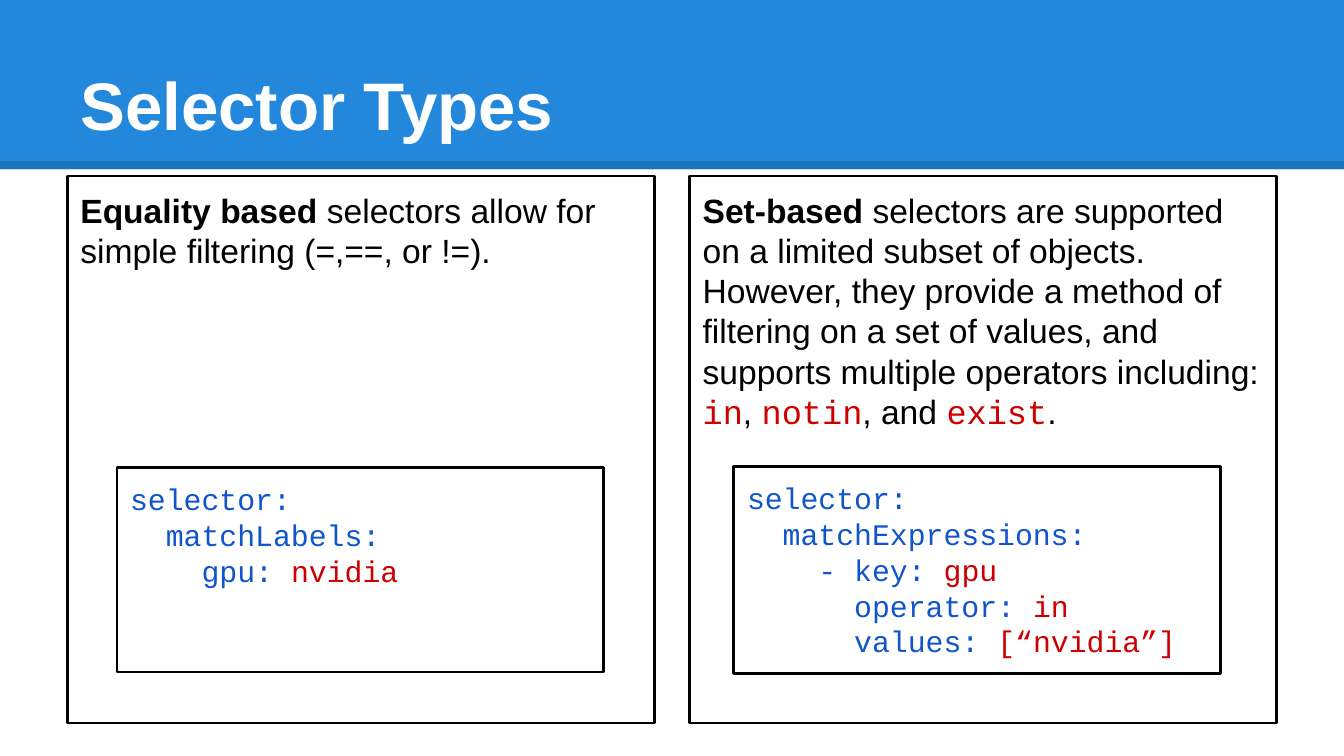
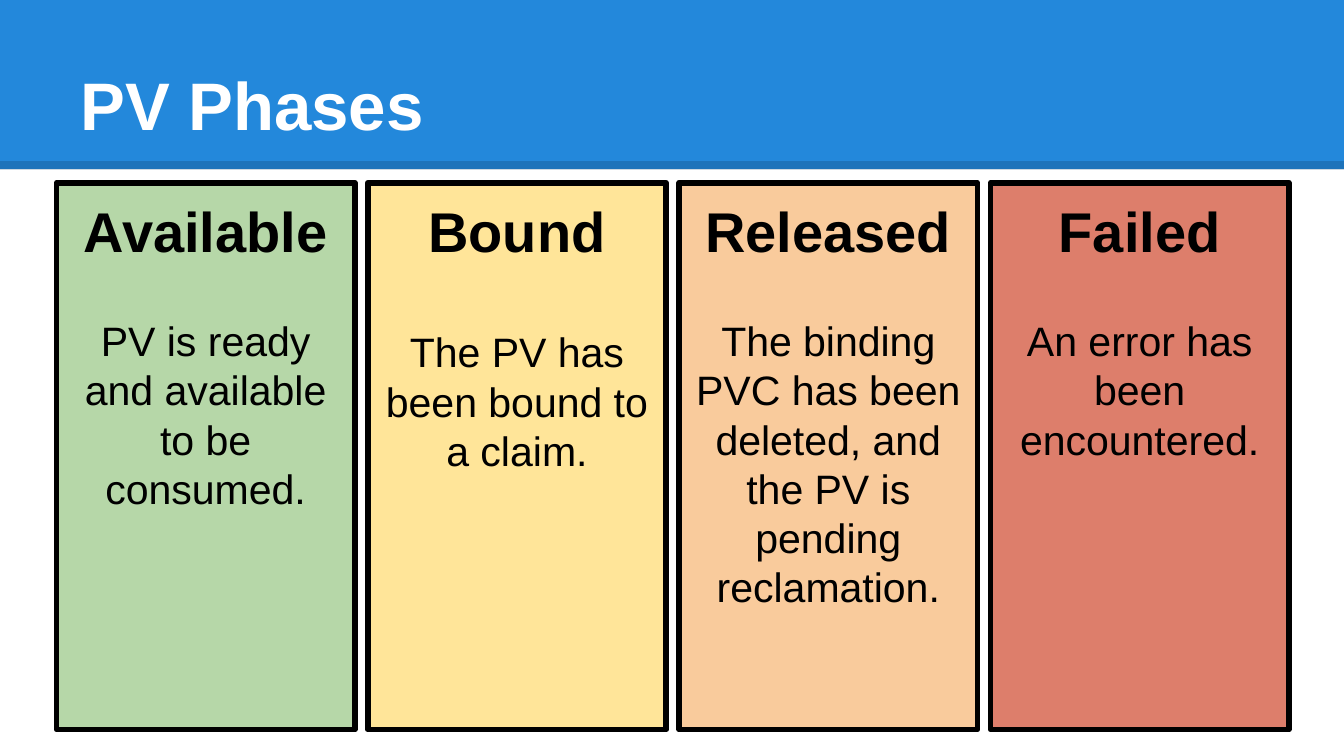
from lxml.etree import SubElement as Sub
from pptx import Presentation
from pptx.dml.color import RGBColor as RGB
from pptx.enum.shapes import MSO_CONNECTOR as CONN, MSO_SHAPE as SHAPE
from pptx.enum.text import MSO_ANCHOR as ANCHOR, PP_ALIGN as ALIGN
from pptx.oxml.ns import qn
from pptx.util import Inches, Pt

WIDE = 10
HIGH = WIDE * 9 / 16
SANS, MONO = "Arial", "Courier New"
BLACK, WHITE, BAND = "000000", "FFFFFF", "2388DB"
RED, BLUE = "CC0000", "1155CC"

STYLES = {
    "title": (SANS, 36, WHITE, True),
    "bold": (SANS, 18, BLACK, True),
    "text": (SANS, 18, BLACK, False),
    "term": (MONO, 18, RED, False),
    "key": (MONO, 16, BLUE, False),
    "value": (MONO, 16, RED, False),
    "head": (SANS, 30, BLACK, True),
    "note": (SANS, 22, BLACK, False),
}

SELECTORS = [
    {
        "intro": [
            ("Equality based ", "bold"),
            ("selectors allow for simple filtering (=,==, or !=).", "text"),
        ],
        "code": [
            [("selector:", "key")],
            [("  matchLabels:", "key")],
            [("    gpu: ", "key"), ("nvidia", "value")],
        ],
        "place": (0.87, 3.48, 3.62, 1.52),
    },
    {
        "intro": [
            ("Set-based ", "bold"),
            ("selectors are supported on a limited subset of objects. "
             "However, they provide a method of filtering on a set of values, "
             "and supports multiple operators including: ", "text"),
            ("in", "term"),
            (", ", "text"),
            ("notin", "term"),
            (", and ", "text"),
            ("exist", "term"),
            (".", "text"),
        ],
        "code": [
            [("selector:", "key")],
            [("  matchExpressions:", "key")],
            [("    - key: ", "key"), ("gpu", "value")],
            [("      operator: ", "key"), ("in", "value")],
            [("      values: ", "key"), ("[“nvidia”]", "value")],
        ],
        "place": (5.46, 3.47, 3.62, 1.54),
    },
]

PHASES = [
    ("Available", "PV is ready and available to be consumed.", "B6D7A8", 28),
    ("Bound", "The PV has been bound to a claim.", "FFE599", 34),
    ("Released", "The binding PVC has been deleted, and the PV is pending "
     "reclamation.", "F9CB9C", 28),
    ("Failed", "An error has been encountered.", "DD7E6B", 28),
]


def color(code):
    return RGB.from_string(code)


def columns(count, left, right, width):
    step = (right - left - width) / (count - 1)
    return [left + i * step for i in range(count)]


def write(shape, lines, align=ALIGN.LEFT, anchor=ANCHOR.TOP, gap=0):
    frame = shape.text_frame
    frame.word_wrap = True
    frame.vertical_anchor = anchor
    frame.margin_left = frame.margin_right = Inches(0.1)
    frame.margin_top = frame.margin_bottom = Inches(0.1)
    for i, line in enumerate(lines):
        para = frame.add_paragraph() if i else frame.paragraphs[0]
        para.alignment = align
        if i and gap:
            para.space_before = Pt(gap)
        for text, style in line:
            run = para.add_run()
            run.text = text
            font = run.font
            font.name, size, ink, font.bold = STYLES[style]
            font.size = Pt(size)
            font.color.rgb = color(ink)


def box(slide, place, fill=None, line=0):
    shape = slide.shapes.add_shape(SHAPE.RECTANGLE, *map(Inches, place))
    shape.shadow.inherit = False
    if fill:
        shape.fill.solid()
        shape.fill.fore_color.rgb = color(fill)
    else:
        shape.fill.background()
    if line:
        shape.line.color.rgb = color(BLACK)
        shape.line.width = Pt(line)
    else:
        shape.line.fill.background()
    return shape


def start(deck, title):
    slide = deck.slides.add_slide(deck.slide_layouts[6])
    box(slide, (0, 0, WIDE, 1.26), BAND)
    y = Inches(1.23)
    rule = slide.shapes.add_connector(CONN.STRAIGHT, 0, y, Inches(WIDE), y)
    rule.line.color.rgb = color(BLACK)
    rule.line.width = Pt(4.5)
    props = rule.element.spPr
    Sub(props, qn("a:effectLst"))
    tint = props.find(".//" + qn("a:srgbClr"))
    Sub(tint, qn("a:alpha")).set("val", "15000")
    head = slide.shapes.add_textbox(*map(Inches, (0.5, 0.23, 9, 0.94)))
    write(head, [[(title, "title")]], anchor=ANCHOR.BOTTOM)
    return slide


def selectors(deck):
    slide = start(deck, "Selector Types")
    width = 4.37
    for left, item in zip(columns(2, 0.5, 9.5, width), SELECTORS):
        panel = box(slide, (left, 1.31, width, 4.07), line=1.5)
        write(panel, [item["intro"]])
        write(box(slide, item["place"], line=1.5), item["code"])


def phases(deck):
    slide = start(deck, "PV Phases")
    width = 2.22
    lefts = columns(len(PHASES), 0.42, 9.59, width)
    for left, (name, note, fill, gap) in zip(lefts, PHASES):
        card = box(slide, (left, 1.36, width, 4.07), fill, 3)
        write(card, [[(name, "head")], [(note, "note")]], ALIGN.CENTER, gap=gap)


def main():
    deck = Presentation()
    deck.slide_width, deck.slide_height = Inches(WIDE), Inches(HIGH)
    selectors(deck)
    phases(deck)
    deck.save("out.pptx")


if __name__ == "__main__":
    main()
